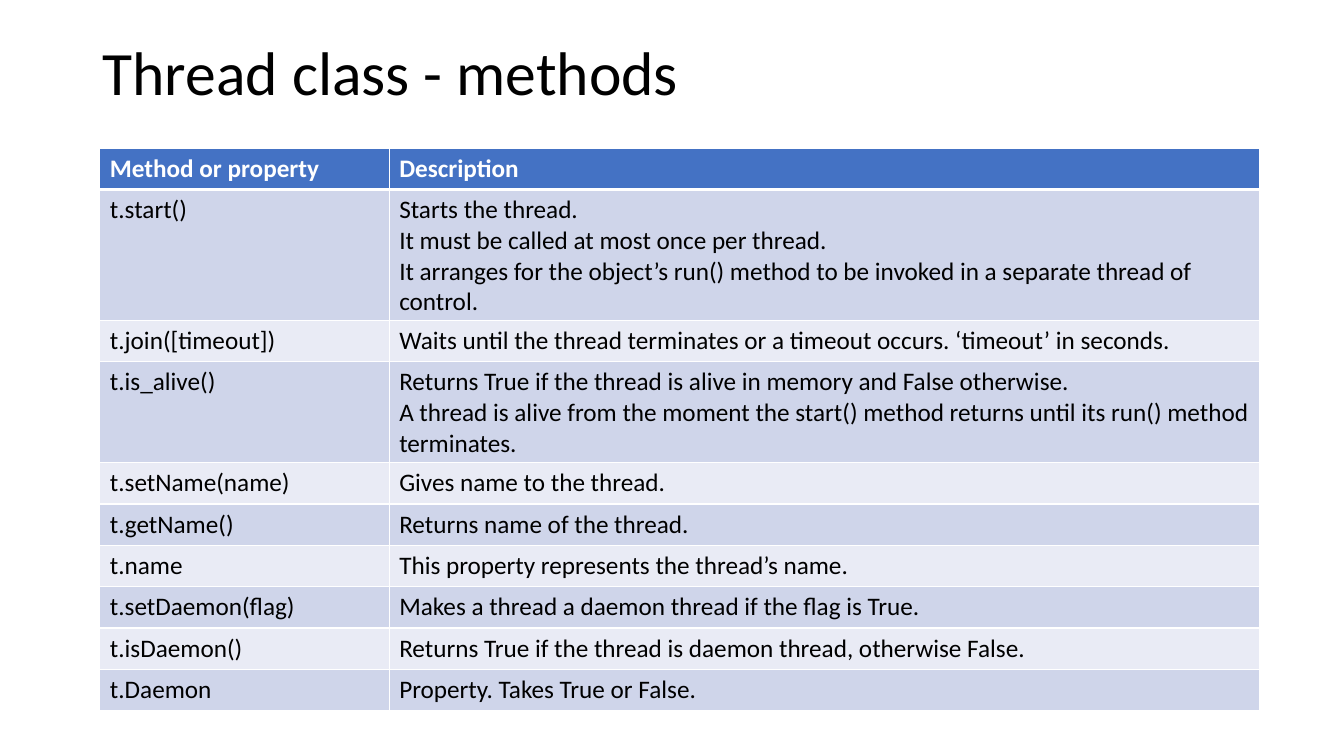
from lxml.etree import SubElement
from pptx import Presentation
from pptx.dml.color import RGBColor
from pptx.enum.text import MSO_ANCHOR
from pptx.oxml.ns import qn
from pptx.util import Inches, Pt

TITLE = "Thread class - methods"
HEADER = ("Method or property", ["Description"])
METHODS = [
    ("t.start()", [
        "Starts the thread.",
        "It must be called at most once per thread.",
        "It arranges for the object’s run() method to be invoked in a separate thread of control.",
    ]),
    ("t.join([timeout])", [
        "Waits until the thread terminates or a timeout occurs. ‘timeout’ in seconds.",
    ]),
    ("t.is_alive()", [
        "Returns True if the thread is alive in memory and False otherwise.",
        "A thread is alive from the moment the start() method returns until its run() method terminates.",
    ]),
    ("t.setName(name)", ["Gives name to the thread."]),
    ("t.getName()", ["Returns name of the thread."]),
    ("t.name", ["This property represents the thread’s name."]),
    ("t.setDaemon(flag)", ["Makes a thread a daemon thread if the flag is True."]),
    ("t.isDaemon()", ["Returns True if the thread is daemon thread, otherwise False."]),
    ("t.Daemon", ["Property. Takes True or False."]),
]
FONT = "Calibri"
BLACK, WHITE = "000000", "FFFFFF"
HEADER_FILL = "4472C4"
BANDS = ("E9EBF5", "CFD5EA")
COLUMN_WIDTHS = (2.87, 8.63)
ROW_HEIGHT = 0.41


def rgb(color):
    """Turn a hex string into a colour."""
    return RGBColor.from_string(color)


def write(frame, lines, size, color, bold=False):
    """Write each line as a paragraph of one run."""
    for index, line in enumerate(lines):
        paragraph = frame.add_paragraph() if index else frame.paragraphs[0]
        run = paragraph.add_run()
        run.text = line
        run.font.name = FONT
        run.font.size = Pt(size)
        run.font.bold = bold
        run.font.color.rgb = rgb(color)


def set_borders(cell, top, bottom):
    """Draw white cell borders, with top and bottom widths in points."""
    properties = cell._tc.get_or_add_tcPr()
    for side, width in (("L", 1), ("R", 1), ("T", top), ("B", bottom)):
        border = SubElement(properties, qn(f"a:ln{side}"), w=str(Pt(width)))
        fill = SubElement(border, qn("a:solidFill"))
        SubElement(fill, qn("a:srgbClr"), val=WHITE)


def add_title(slide):
    """Add the slide title."""
    box = slide.shapes.add_textbox(Inches(0.92), Inches(0.02), Inches(11.5), Inches(1.45))
    frame = box.text_frame
    frame.word_wrap = True
    frame.vertical_anchor = MSO_ANCHOR.MIDDLE
    write(frame, [TITLE], 44, BLACK)
    frame.paragraphs[0].line_spacing = 0.9


def add_methods(slide):
    """Add the banded table; rows grow with their text."""
    rows = [HEADER] + METHODS
    table = slide.shapes.add_table(
        len(rows), len(COLUMN_WIDTHS), Inches(0.99), Inches(1.47),
        Inches(sum(COLUMN_WIDTHS)), Inches(ROW_HEIGHT * len(rows))).table
    for column, width in zip(table.columns, COLUMN_WIDTHS):
        column.width = Inches(width)
    for index, (method, description) in enumerate(rows):
        is_header = index == 0
        table.rows[index].height = Inches(ROW_HEIGHT)
        for cell, lines in zip(table.rows[index].cells, ([method], description)):
            set_borders(cell, 3 if index == 1 else 1, 3 if is_header else 1)
            cell.fill.solid()
            cell.fill.fore_color.rgb = rgb(HEADER_FILL if is_header else BANDS[index % 2])
            write(cell.text_frame, lines, 18, WHITE if is_header else BLACK, is_header)


deck = Presentation()
deck.slide_width, deck.slide_height = Inches(13.33), Inches(7.5)
methods_slide = deck.slides.add_slide(deck.slide_layouts[6])
add_title(methods_slide)
add_methods(methods_slide)
deck.save("out.pptx")
